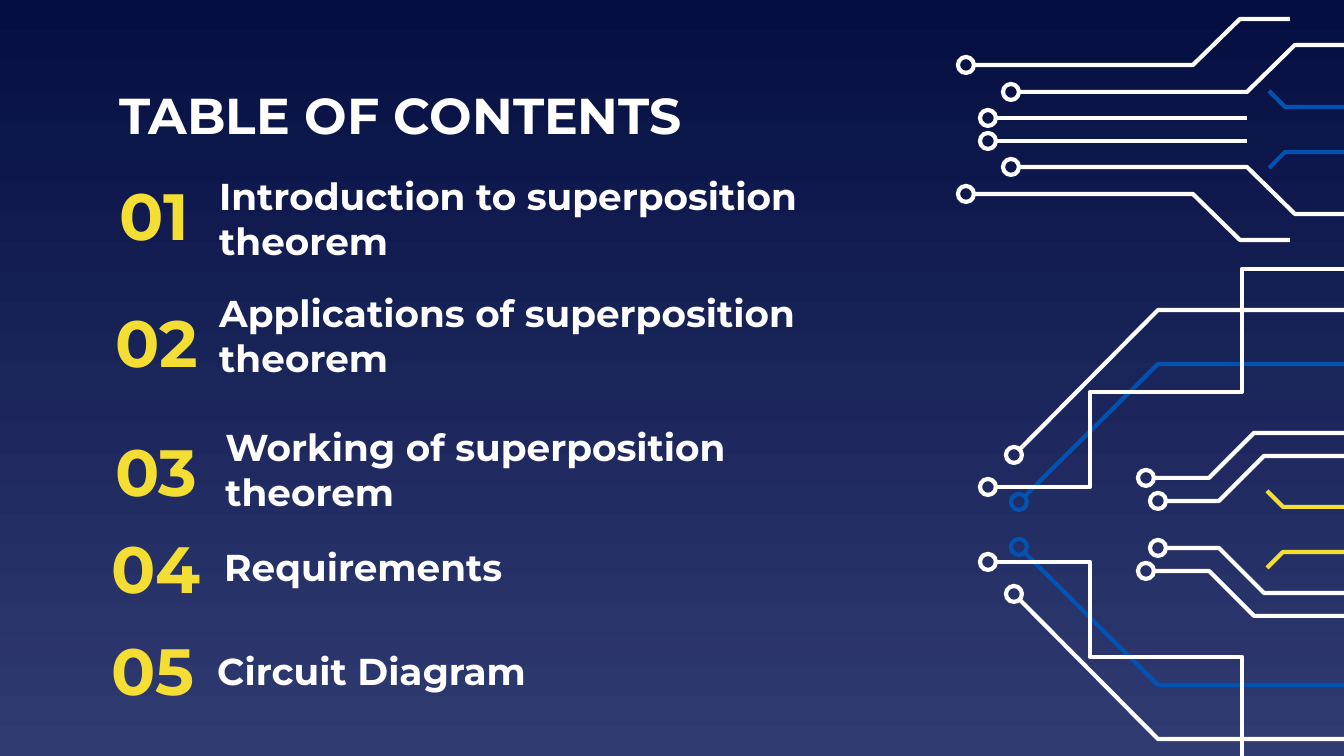
from math import hypot

from pptx import Presentation, util as u
from pptx.dml.color import RGBColor
from pptx.enum import shapes, text

W, H = 1344, 756
PX = 914400 / 134.4
FONT = "Montserrat"
COLORS = {"white": "FFFFFF", "yellow": "F5DE34", "blue": "0152B1",
          "top": "040E41", "bottom": "303B72"}

TITLE = ("TABLE OF CONTENTS", (106, 79, 789, 70))
# number, its left and top, topic, box of the topic
ITEMS = [
    ("01", (106, 175), "Introduction to superposition theorem", (206, 173, 616, 90)),
    ("02", (102, 302), "Applications of superposition theorem", (206, 293, 644, 85)),
    ("03", (102, 431), "Working of superposition theorem", (212, 434, 695, 70)),
    ("04", (98, 528), "Requirements", (211, 528, 353, 78)),
    ("05", (98, 630), "Circuit Diagram", (204, 636, 360, 70)),
]
NUMBER_SIZE = (133, 78)
NODE = 16  # diameter of the ring at the start of a trace

# mirror: sum of the heights of a trace and its reflection, None for a single one
# each trace: colour, starts with a ring, corner points
BUNDLES = [
    (1059, [("yellow", False, [(1267, 491), (1283, 507), (W, 507)])]),
    (259, [
        ("blue", False, [(1269, 91), (1285, 107), (W, 107)]),
        ("white", True, [(966, 65), (1193, 65), (1240, 19), (1290, 19)]),
        ("white", True, [(1011, 92), (1247, 92), (1295, 45), (W, 45)]),
        ("white", True, [(988, 118), (1247, 118)]),
    ]),
    (1049, [
        ("white", True, [(1146, 478), (1209, 478), (1254, 433), (W, 433)]),
        ("white", True, [(1158, 501), (1219, 501), (1264, 456), (W, 456)]),
        ("blue", True, [(1019, 502), (1158, 364), (W, 364)]),
        ("white", True, [(1014, 455), (1158, 310), (W, 310)]),
    ]),
    (None, [
        ("white", True, [(988, 487), (1090, 487), (1090, 392), (1242, 392),
                         (1242, 269), (W, 269)]),
        ("white", True, [(988, 562), (1090, 562), (1090, 657), (1242, 657),
                         (1242, H)]),
    ]),
]


def rgb(name):
    return RGBColor.from_string(COLORS[name])


def emu(*lengths):
    return [u.Emu(round(n * PX)) for n in lengths]


def write(sp, words, size, color):
    tf = sp.text_frame
    tf.word_wrap = True
    tf.auto_size = text.MSO_AUTO_SIZE.NONE
    tf.vertical_anchor = text.MSO_ANCHOR.MIDDLE
    tf.margin_left = tf.margin_right = tf.margin_top = tf.margin_bottom = u.Inches(0.1)
    p = tf.paragraphs[0]
    p.alignment = text.PP_ALIGN.LEFT
    r = p.add_run()
    r.text = words
    r.font.name, r.font.size, r.font.bold = FONT, u.Pt(size), True
    r.font.color.rgb = rgb(color)


def outline(sp, color):
    sp.shadow.inherit = False
    sp.fill.background()
    sp.line.color.rgb = rgb(color)
    sp.line.width = u.Pt(2.25)


def add_trace(s, color, ring, points):
    (x, y), (x2, y2) = points[:2]
    start = x, y
    if ring:
        # the trace begins at the edge of its ring
        reach = NODE / 2 / hypot(x2 - x, y2 - y)
        start = round(x + (x2 - x) * reach), round(y + (y2 - y) * reach)
    builder = s.shapes.build_freeform(*start, scale=PX)
    builder.add_line_segments(points[1:], close=False)
    outline(builder.convert_to_shape(), color)
    if ring:
        box = emu(x - NODE / 2, y - NODE / 2, NODE, NODE)
        outline(s.shapes.add_shape(shapes.MSO_SHAPE.OVAL, *box), color)


def main():
    prs = Presentation()
    prs.slide_width, prs.slide_height = emu(W, H)
    s = prs.slides.add_slide(prs.slide_layouts[5])

    fill = s.background.fill
    fill.gradient()
    fill.gradient_angle = 270
    for stop, name, position in zip(fill.gradient_stops, ("top", "bottom"), (0, 1)):
        stop.color.rgb = rgb(name)
        stop.position = position

    words, box = TITLE
    title = s.shapes.title
    title.left, title.top, title.width, title.height = emu(*box)
    write(title, words, 27, "white")

    for number, corner, topic, box in ITEMS:
        write(s.shapes.add_textbox(*emu(*box)), topic, 20, "white")
        write(s.shapes.add_textbox(*emu(*corner, *NUMBER_SIZE)), number, 35, "yellow")

    for mirror, traces in BUNDLES:
        for color, ring, points in traces:
            add_trace(s, color, ring, points)
            if mirror:
                add_trace(s, color, ring, [(x, mirror - y) for x, y in points])

    prs.save("out.pptx")


if __name__ == "__main__":
    main()
